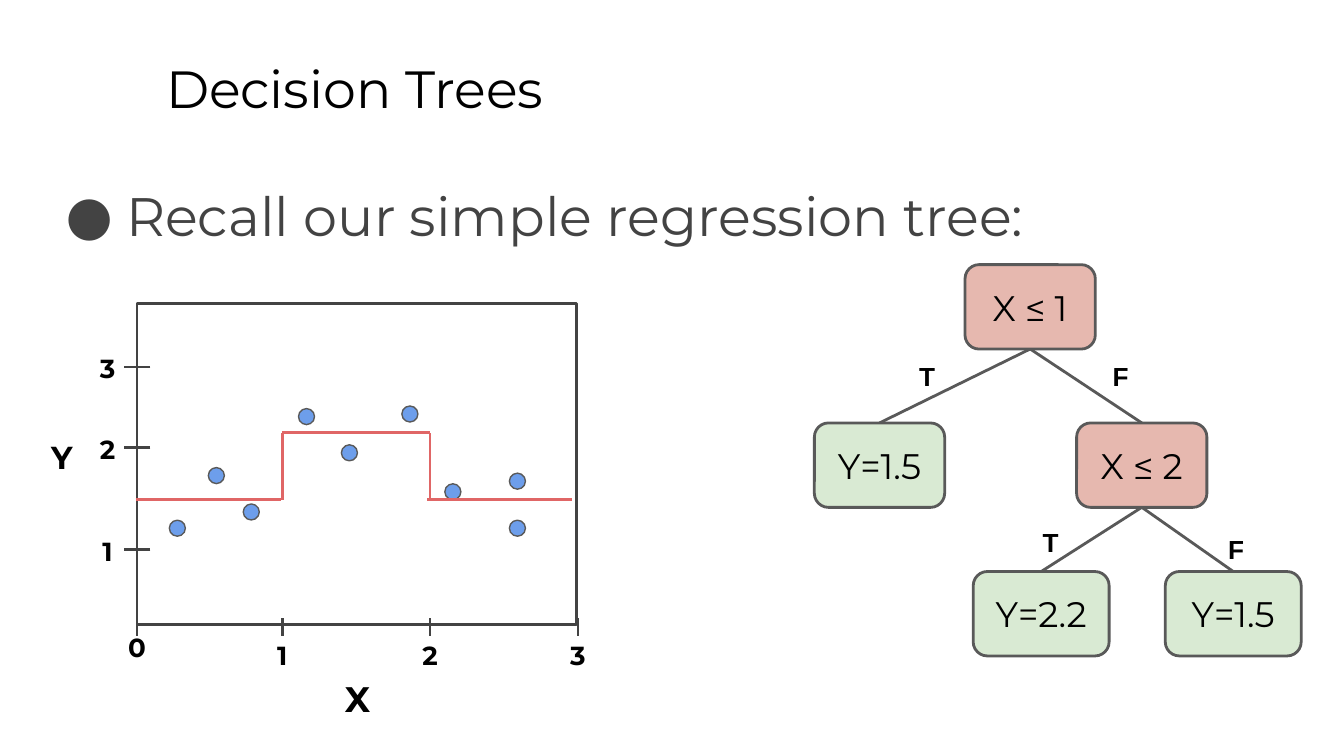
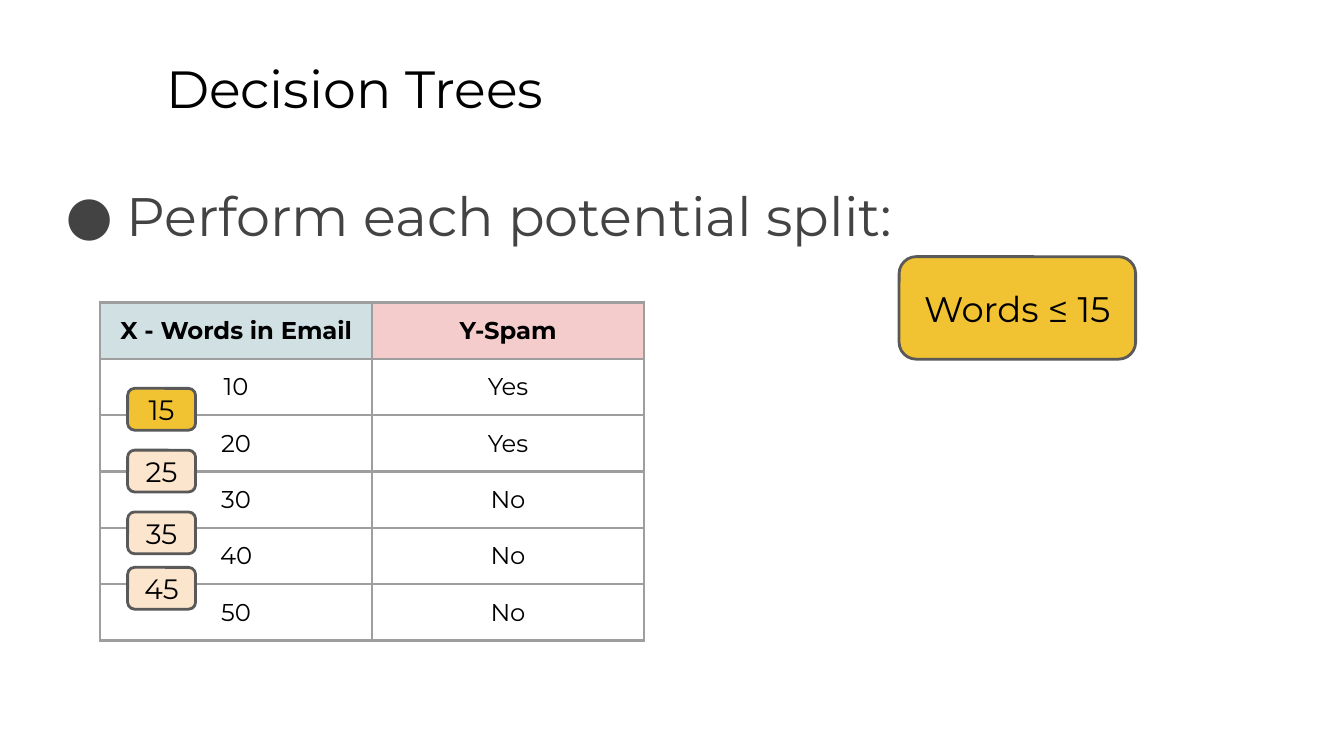
from lxml.etree import SubElement
from pptx import Presentation
from pptx.dml.color import RGBColor
from pptx.enum.shapes import MSO_CONNECTOR, MSO_SHAPE
from pptx.enum.text import MSO_ANCHOR, PP_ALIGN
from pptx.oxml.ns import qn
from pptx.util import Pt

COLORS = {
    "black": "000000", "body": "434343", "outline": "595959", "dot": "6D9EEB",
    "step": "E06666", "split": "E6B8AF", "leaf": "D9EAD3", "active": "F1C232",
    "pending": "FCE5CD", "words": "D0E0E3", "spam": "F4CCCC", "border": "9E9E9E",
}
FONT = "Montserrat"
INSET = 7.2

TITLE = "Decision Trees"
BULLETS = ["Recall our simple regression tree:", "Perform each potential split:"]

PLOT = (73.4, 162.7, 235.4, 172.1)
X_TICKS = [("0", 73.4, 331.2), ("1", 151.2, 335.5), ("2", 230.4, 335.5), ("3", 309.6, 335.5)]
Y_TICKS = [("1", 294.5), ("2", 239.8), ("3", 196.6)]
AXIS_NAMES = [("X", 191.5, 355.7, 19), ("Y", 33.1, 227.5, 17)]
LABEL_W, LABEL_H = 41.8, 25.2
DOT = 8.6
DOTS = [(95, 283), (115.9, 254.8), (134.6, 274.3), (164.2, 223.2), (187.2, 242.6),
        (219.6, 221.8), (242.6, 263.5), (277.2, 257.8), (277.2, 283)]
LOW, HIGH = 267.8, 231.8
STEPS = [(72.7, LOW, 150.5, LOW), (151.2, HIGH, 230.4, HIGH), (229, LOW, 306.7, LOW),
         (151.2, LOW, 151.2, HIGH), (230.4, LOW, 230.4, HIGH)]

NODE_H = 45.2
NODES = {
    "root": ("X ≤ 1", "split", 517, 141.8, 69.8),
    "root_true": ("Y=1.5", "leaf", 436.3, 226.6, 69.8),
    "root_false": ("X ≤ 2", "split", 576.8, 226.6, 69.8),
    "second_true": ("Y=2.2", "leaf", 521.4, 306.2, 72.8),
    "second_false": ("Y=1.5", "leaf", 624.3, 306.2, 72.8),
}
EDGES = [
    ("root", "root_true", "T", 485.3, 185.8),
    ("root", "root_false", "F", 589, 185.8),
    ("root_false", "second_true", "T", 551.5, 275),
    ("root_false", "second_false", "F", 650.9, 278.6),
]

HEADERS = [("X - Words in Email", "words"), ("Y-Spam", "spam")]
EMAILS = [("10", "Yes"), ("20", "Yes"), ("30", "No"), ("40", "No"), ("50", "No")]
TABLE_LEFT, TABLE_TOP, COL_W, ROW_H = 53.6, 162, 145.7, 30.2
SPLITS = [("15", "active", 208.1), ("25", "pending", 241.2),
          ("35", "pending", 274.3), ("45", "pending", 304)]


def rgb(name):
    return RGBColor.from_string(COLORS[name])


def style(p, size, color="black", bold=False, font=FONT, align=None):
    p.alignment = align
    for r in p.runs:
        r.font.name, r.font.size, r.font.bold = font, Pt(size), bold
        r.font.color.rgb = rgb(color)


def fit(tf, anchor):
    tf.word_wrap = True
    tf.vertical_anchor = anchor
    tf.margin_left = tf.margin_right = tf.margin_top = tf.margin_bottom = Pt(INSET)


def add_text(s, text, box, size, **look):
    tf = s.shapes.add_textbox(*map(Pt, box)).text_frame
    fit(tf, MSO_ANCHOR.TOP)
    p = tf.paragraphs[0]
    p.text = text
    style(p, size, **look)
    return p


def add_label(s, text, left, top, size=14):
    add_text(s, text, (left, top, LABEL_W, LABEL_H), size, bold=True, align=PP_ALIGN.CENTER)


def add_outlined(s, kind, box, fill=None, line="outline", width=1.5):
    sp = s.shapes.add_shape(kind, *map(Pt, box))
    sp.shadow.inherit = False
    if fill:
        sp.fill.solid()
        sp.fill.fore_color.rgb = rgb(fill)
    else:
        sp.fill.background()
    sp.line.color.rgb = rgb(line)
    sp.line.width = Pt(width)
    return sp


def add_node(s, text, fill, box, size=19):
    sp = add_outlined(s, MSO_SHAPE.ROUNDED_RECTANGLE, box, fill)
    fit(sp.text_frame, MSO_ANCHOR.MIDDLE)
    sp.text_frame.text = text
    style(sp.text_frame.paragraphs[0], size, align=PP_ALIGN.CENTER)


def add_line(s, ends, color):
    line = s.shapes.add_connector(MSO_CONNECTOR.STRAIGHT, *map(Pt, ends))
    line.line.color.rgb = rgb(color)
    line.line.width = Pt(1.5)
    SubElement(line._element.spPr, qn("a:effectLst"))


def add_slide(prs, bullet):
    s = prs.slides.add_slide(prs.slide_layouts[6])
    add_text(s, TITLE, (82, 23, 613.4, 45.4), 28)
    p = add_text(s, bullet, (24.5, 90.7, 684, 269.3), 29, color="body")
    pPr = p._p.get_or_add_pPr()
    pPr.set("marL", str(Pt(36)))
    pPr.set("indent", str(-Pt(32.4)))
    color = SubElement(pPr, qn("a:buClr"))
    SubElement(color, qn("a:srgbClr"), val=COLORS["body"])
    SubElement(pPr, qn("a:buFont"), typeface=FONT)
    SubElement(pPr, qn("a:buChar"), char="●")
    return s


def draw_plot(s):
    add_outlined(s, MSO_SHAPE.RECTANGLE, PLOT, line="body")
    left, bottom = PLOT[0], PLOT[1] + PLOT[3]
    for text, x, y, size in AXIS_NAMES:
        add_label(s, text, x - LABEL_W / 2, y, size)
    for x, y in DOTS:
        box = (x - DOT / 2, y - DOT / 2, DOT, DOT)
        add_outlined(s, MSO_SHAPE.OVAL, box, "dot", width=0.75)
    for text, x, label_top in X_TICKS:
        add_line(s, (x, bottom - 3.6, x, bottom + 5.8), "body")
        add_label(s, text, x - LABEL_W / 2, label_top)
    for text, y in Y_TICKS:
        add_line(s, (left + 7.2, y, left - 7.2, y), "body")
        add_label(s, text, 36.7, y - 15)
    for ends in STEPS:
        add_line(s, ends, "step")


def draw_tree(s):
    for parent, child, text, x, y in EDGES:
        _, _, x1, y1, w1 = NODES[parent]
        _, _, x2, y2, w2 = NODES[child]
        add_line(s, (x1 + w1 / 2, y1 + NODE_H, x2 + w2 / 2, y2), "outline")
        add_text(s, text, (x, y, 18.7, 14.4), 14, bold=True, font="Arial")
    for text, fill, x, y, w in NODES.values():
        add_node(s, text, fill, (x, y, w, NODE_H))


def style_cell(cell, text, fill, bold):
    cell.text = text
    cell.margin_left = cell.margin_right = cell.margin_top = cell.margin_bottom = Pt(INSET)
    style(cell.text_frame.paragraphs[0], 13, bold=bold, align=PP_ALIGN.CENTER)
    tcPr = cell._tc.get_or_add_tcPr()
    for side in ("a:lnL", "a:lnR", "a:lnT", "a:lnB"):
        ln = SubElement(tcPr, qn(side), w=str(Pt(1.5)))
        SubElement(SubElement(ln, qn("a:solidFill")), qn("a:srgbClr"), val=COLORS["border"])
    if fill:
        cell.fill.solid()
        cell.fill.fore_color.rgb = rgb(fill)
    else:
        cell.fill.background()


def draw_table(s):
    rows = [HEADERS] + [[(value, None) for value in email] for email in EMAILS]
    size = (COL_W * len(HEADERS), ROW_H * len(rows))
    table = s.shapes.add_table(len(rows), len(HEADERS),
                               *map(Pt, (TABLE_LEFT, TABLE_TOP, *size))).table
    table.horz_banding = False
    for col in table.columns:
        col.width = Pt(COL_W)
    for i, row in enumerate(rows):
        table.rows[i].height = Pt(ROW_H)
        for j, (text, fill) in enumerate(row):
            style_cell(table.cell(i, j), text, fill, bold=i == 0)


def main():
    prs = Presentation()
    prs.slide_width, prs.slide_height = Pt(720), Pt(405)

    s = add_slide(prs, BULLETS[0])
    draw_plot(s)
    draw_tree(s)

    s = add_slide(prs, BULLETS[1])
    draw_table(s)
    add_node(s, "Words ≤ 15", "active", (481.7, 137.5, 126.7, 54.9))
    for text, fill, top in SPLITS:
        add_node(s, text, fill, (68.4, top, 36.4, 22.4), 15)

    prs.save("out.pptx")


if __name__ == "__main__":
    main()
